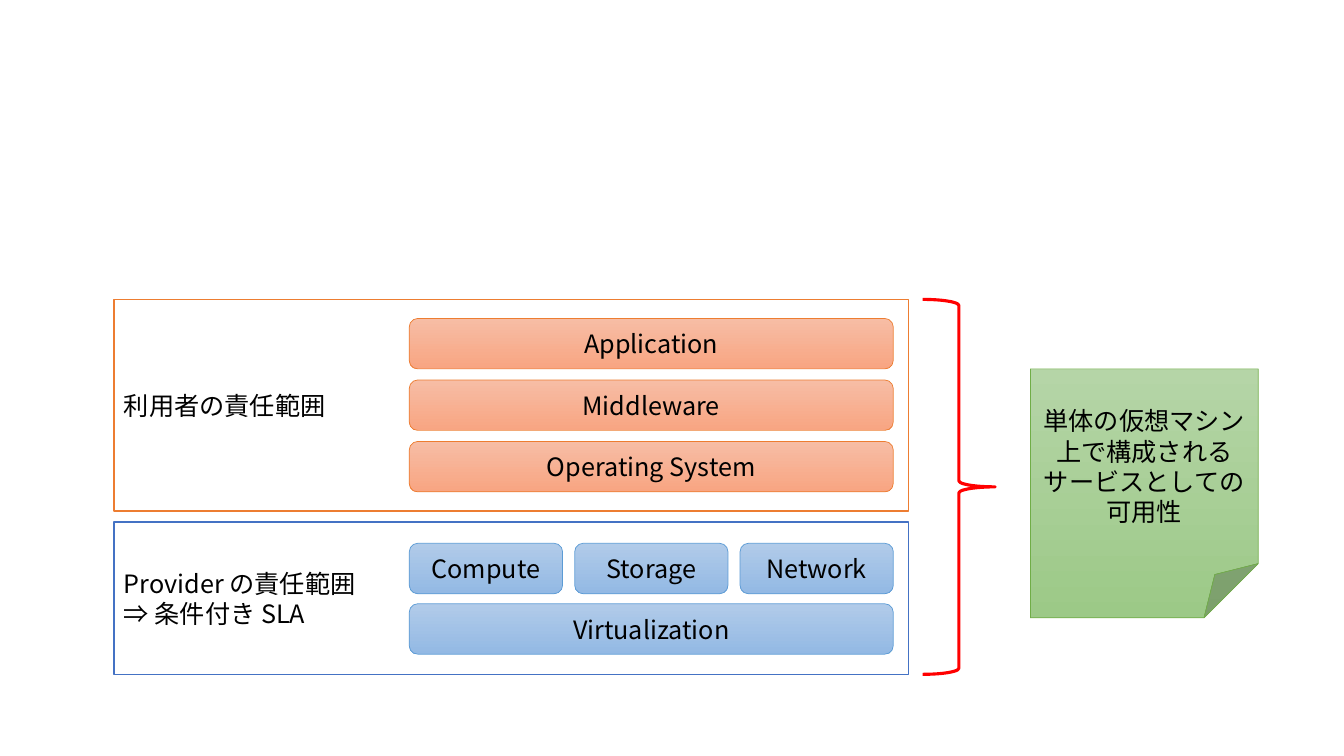
"""Build a slide showing who is responsible for each layer of a single virtual machine."""
from lxml import etree
from pptx import Presentation
from pptx.dml.color import RGBColor
from pptx.enum.lang import MSO_LANGUAGE_ID
from pptx.enum.shapes import MSO_SHAPE
from pptx.enum.text import MSO_ANCHOR, PP_ALIGN
from pptx.oxml.ns import qn
from pptx.util import Inches, Pt

RECT, ROUND = MSO_SHAPE.RECTANGLE, MSO_SHAPE.ROUNDED_RECTANGLE
BRACE, NOTE = MSO_SHAPE.RIGHT_BRACE, MSO_SHAPE.FOLDED_CORNER
LEFT, CENTER, MIDDLE = PP_ALIGN.LEFT, PP_ALIGN.CENTER, MSO_ANCHOR.MIDDLE
JAPANESE = MSO_LANGUAGE_ID.JAPANESE
FONT = "Noto Sans CJK JP"
BLUE, ORANGE, GREEN = ("B1CBE9", "93B9E4"), ("F7BDA5", "F8A582"), ("B5D5A7", "9CC987")


def rgb(value):
    return RGBColor.from_string(value)


def add_box(kind, x, y, w, h, fills, line, weight, lines=(), align=CENTER):
    sp = s.shapes.add_shape(kind, Inches(x), Inches(y), Inches(w), Inches(h))
    sp.shadow.inherit = False
    if len(fills) == 2:
        sp.fill.gradient()
        sp.fill.gradient_angle = 270
        for stop, color in zip(sp.fill.gradient_stops, fills):
            stop.color.rgb = rgb(color)
    elif fills:
        sp.fill.solid()
        sp.fill.fore_color.rgb = rgb(fills[0])
    else:
        sp.fill.background()
    sp.line.color.rgb = rgb(line)
    sp.line.width = Pt(weight)
    tf = sp.text_frame
    tf.word_wrap = True
    tf.vertical_anchor = MIDDLE
    for i, text in enumerate(lines):
        p = tf.add_paragraph() if i else tf.paragraphs[0]
        p.alignment = align
        r = p.add_run()
        r.text = text
        r.font.size = Pt(18)
        r.font.name = FONT
        r.font.color.rgb = rgb("000000")
        r.font.language_id = JAPANESE
        etree.SubElement(r._r.get_or_add_rPr(), qn("a:ea"), typeface=FONT)
    return sp


prs = Presentation()
prs.slide_width, prs.slide_height = Inches(13.33), Inches(7.5)
s = prs.slides.add_slide(prs.slide_layouts[6])

add_box(RECT, 1.13, 5.18, 7.88, 1.51, ["FFFFFF"], "4472C4", 1,
        ["Provider の責任範囲", "⇒ 条件付き SLA"], LEFT)
add_box(ROUND, 4.06, 5.99, 4.8, 0.5, BLUE, "5B9BD5", 0.5, ["Virtualization"])
for i, resource in enumerate(["Compute", "Storage", "Network"]):
    add_box(ROUND, 4.06 + i * 1.64, 5.39, 1.52, 0.5, BLUE, "5B9BD5", 0.5, [resource])

add_box(RECT, 1.13, 2.97, 7.88, 2.1, ["FFFFFF"], "ED7D31", 1, ["利用者の責任範囲"], LEFT)
for i, layer in enumerate(["Application", "Middleware", "Operating System"]):
    add_box(ROUND, 4.06, 3.16 + i * 0.61, 4.8, 0.5, ORANGE, "ED7D31", 0.5, [layer])

add_box(BRACE, 9.15, 2.97, 0.72, 3.72, [], "FF0000", 2.25)
note = add_box(NOTE, 10.22, 3.66, 2.26, 2.47, GREEN, "70AD47", 0.5,
               ["単体の仮想マシン", "上で構成されるサービスとしての", "可用性"])
fold = next(note.element.iter(qn("a:avLst")))
etree.SubElement(fold, qn("a:gd"), name="adj", fmla="val 23800")

prs.save("out.pptx")
